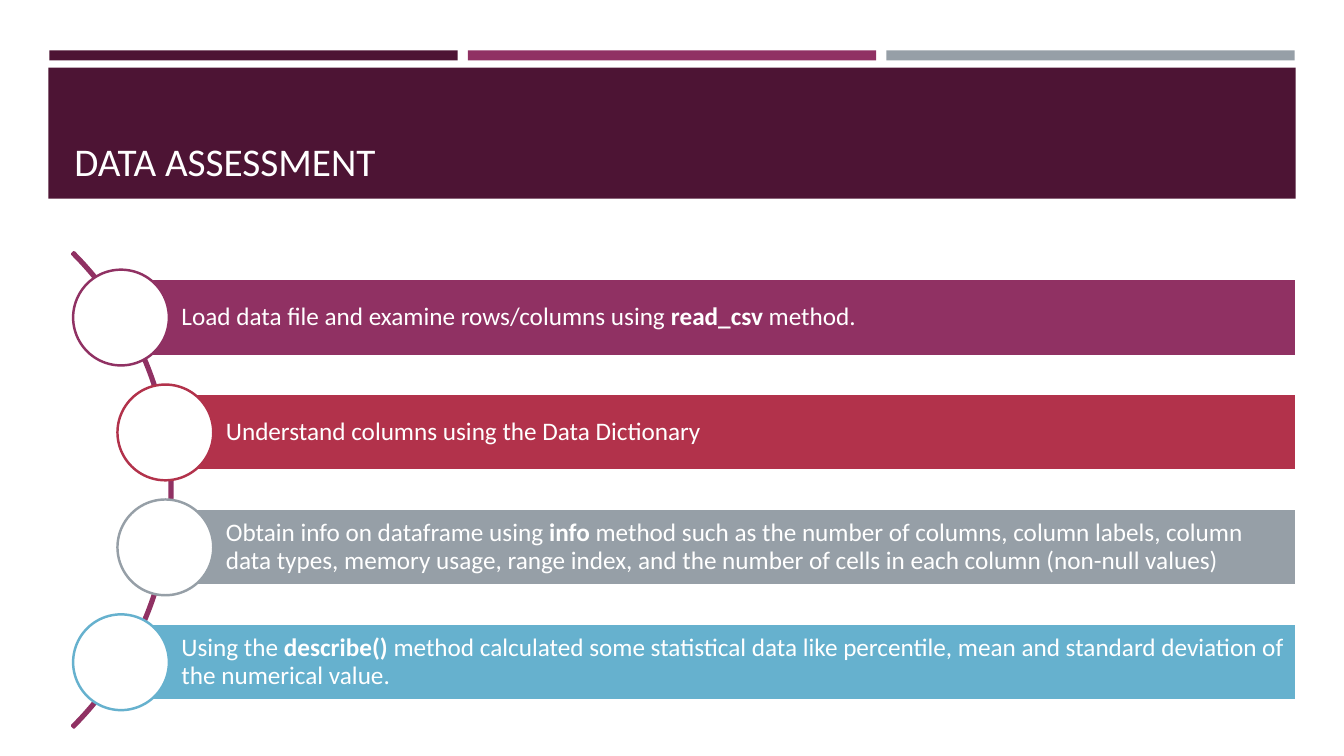
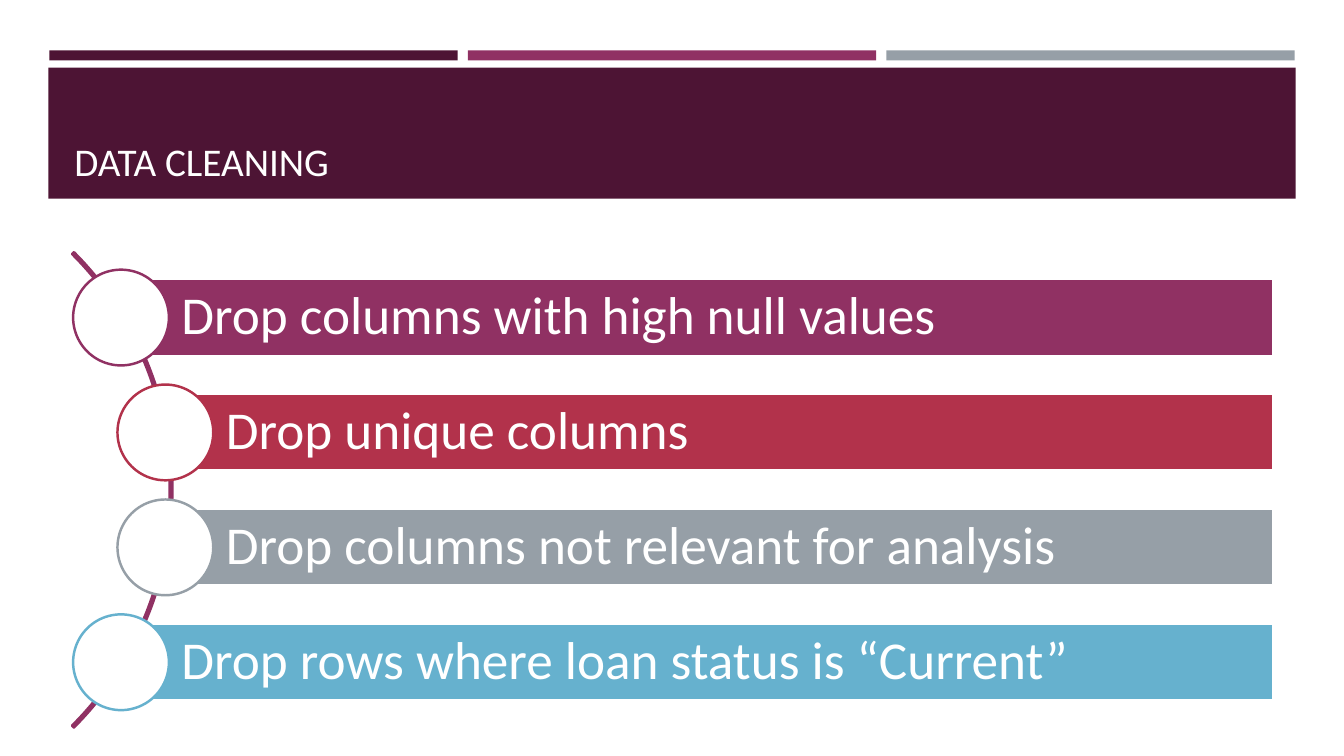
from pptx import Presentation
from pptx.dml.color import RGBColor
from pptx.enum.shapes import MSO_SHAPE
from pptx.enum.text import MSO_ANCHOR, PP_ALIGN
from pptx.util import Inches, Pt

PLUM, MAUVE, RED, GRAY, BLUE, WHITE = (
    "4D1434", "903163", "B2324B", "969FA7", "66B1CE", "FFFFFF")


def color(code):
    return RGBColor.from_string(code)


def write(shape, text, size=18, ink=WHITE, font="Calibri",
          anchor=MSO_ANCHOR.MIDDLE, left=0.1, pad=0.05, spacing=1.0):
    frame = shape.text_frame
    frame.word_wrap = True
    frame.vertical_anchor = anchor
    frame.margin_left = Inches(left)
    frame.margin_top = frame.margin_right = frame.margin_bottom = Inches(pad)
    para = frame.paragraphs[0]
    para.alignment = PP_ALIGN.LEFT
    para.line_spacing = spacing
    for index, part in enumerate(text.split("**")):
        if part:
            run = para.add_run()
            run.text = part
            run.font.name = font
            run.font.size = Pt(size)
            run.font.bold = index % 2 == 1
            run.font.color.rgb = color(ink)


class Deck:
    accents = (MAUVE, RED, GRAY, BLUE)
    centers = (1.2, 1.64, 1.64, 1.2)
    middle = 3.15
    step = 1.14
    height = 0.76
    circle = 0.95
    arc = 6.67

    def __init__(self):
        self.file = Presentation()
        self.file.slide_width = Inches(13.33)
        self.file.slide_height = Inches(7.5)
        self.slide = None

    def shape(self, kind, x, y, w, h, fill=None, line=None):
        item = self.slide.shapes.add_shape(
            kind, Inches(x), Inches(y), Inches(w), Inches(h))
        item.shadow.inherit = False
        if fill:
            item.fill.solid()
            item.fill.fore_color.rgb = color(fill)
        else:
            item.fill.background()
        if line:
            item.line.color.rgb = color(line)
            item.line.width = Pt(1.75)
        else:
            item.line.fill.background()
        return item

    def page(self, title):
        self.slide = self.file.slides.add_slide(self.file.slide_layouts[6])
        for index, fill in enumerate((PLUM, MAUVE, GRAY)):
            self.shape(MSO_SHAPE.RECTANGLE, 0.49 + index * 4.15, 0.5, 4.05, 0.1, fill)
        self.shape(MSO_SHAPE.RECTANGLE, 0.48, 0.67, 12.37, 1.3, PLUM)
        box = self.slide.shapes.add_textbox(
            Inches(0.64), Inches(0.77), Inches(12.06), Inches(1.11))
        write(box, title, size=28, anchor=MSO_ANCHOR.BOTTOM)

    def curve(self):
        center = self.middle + 1.5 * self.step
        arc = self.shape(MSO_SHAPE.BLOCK_ARC, 1.71 - self.arc,
                         center - self.arc / 2, self.arc, self.arc, line=MAUVE)
        for index, value in enumerate((189, 27, 0.004)):
            arc.adjustments[index] = value

    def steps(self, texts, right, size, pad):
        self.curve()
        rows = zip(texts, self.centers, self.accents)
        for index, (text, x, accent) in enumerate(rows):
            y = self.middle + index * self.step
            bar = self.shape(MSO_SHAPE.RECTANGLE, x, y - self.height / 2,
                             right - x, self.height, accent, WHITE)
            write(bar, text, size=size, left=0.6, pad=pad, spacing=0.9)
            self.shape(MSO_SHAPE.OVAL, x - self.circle / 2, y - self.circle / 2,
                       self.circle, self.circle, WHITE, accent)


def main():
    deck = Deck()
    deck.page("DATA ASSESSMENT")
    deck.steps((
        "Load data file and examine rows/columns using **read_csv **method.",
        "Understand columns using the Data Dictionary",
        "Obtain info on dataframe using **info** method such as the number of "
        "columns, column labels, column data types, memory usage, range index, "
        "and the number of cells in each column (non-null values)",
        "Using the **describe() **method calculated some statistical data like "
        "percentile, mean and standard deviation of the numerical value.",
    ), right=12.86, size=18, pad=0.05)
    deck.page("DATA CLEANING")
    deck.steps((
        "Drop columns with high null values",
        "Drop unique columns",
        "Drop columns not relevant for analysis",
        "Drop rows where loan status is “Current”",
    ), right=12.63, size=38, pad=0.11)
    deck.file.save("out.pptx")


if __name__ == "__main__":
    main()
